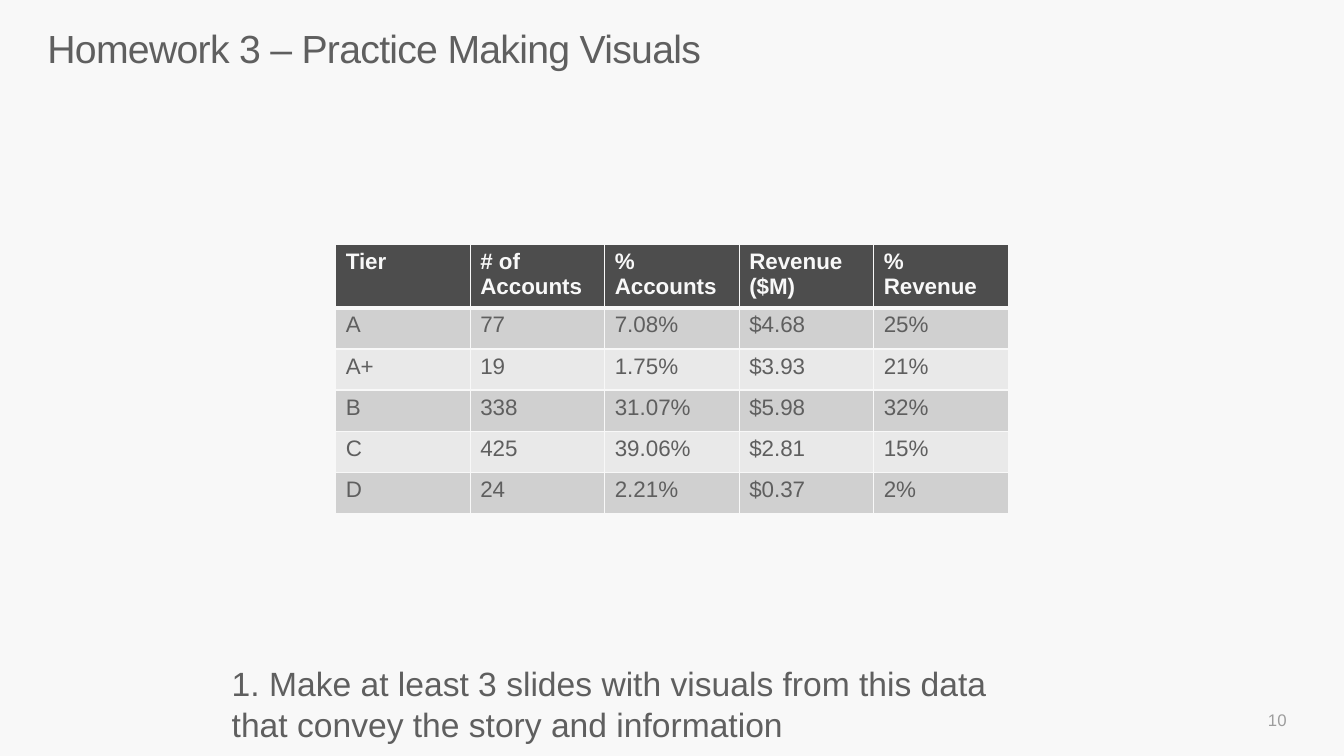
from lxml.etree import SubElement
from pptx import Presentation
from pptx.dml.color import RGBColor
from pptx.enum.text import MSO_ANCHOR, PP_ALIGN
from pptx.oxml.ns import qn
from pptx.util import Inches, Pt

PAPER = RGBColor(0xF8, 0xF8, 0xF8)
INK = RGBColor(0x5F, 0x5F, 0x5F)
PALE_INK = RGBColor(0x9D, 0x9D, 0x9D)
HEADER_FILL = RGBColor(0x4D, 0x4D, 0x4D)
BANDS = (RGBColor(0xD0, 0xD0, 0xD0), RGBColor(0xE9, 0xE9, 0xE9))

HEADER_HEIGHT = 0.62
TIERS = [
    ("Tier", "# of Accounts", "% Accounts", "Revenue ($M)", "% Revenue"),
    ("A", "77", "7.08%", "$4.68", "25%"),
    ("A+", "19", "1.75%", "$3.93", "21%"),
    ("B", "338", "31.07%", "$5.98", "32%"),
    ("C", "425", "39.06%", "$2.81", "15%"),
    ("D", "24", "2.21%", "$0.37", "2%"),
]


def add_words(paragraph, words, size, color, bold=False):
    run = paragraph.add_run()
    run.text = words
    run.font.name = "Arial"
    run.font.size = Pt(size)
    run.font.bold = bold
    run.font.color.rgb = color
    return run


def add_frame(slide, box):
    frame = slide.shapes.add_textbox(*map(Inches, box)).text_frame
    frame.word_wrap = True
    return frame


def add_title(slide, box):
    frame = add_frame(slide, box)
    frame.margin_left = frame.margin_right = 0
    frame.margin_top = frame.margin_bottom = 0
    paragraph = frame.paragraphs[0]
    paragraph.line_spacing = 0.86
    heading = add_words(paragraph, "Homework 3 – Practice Making Visuals", 28, INK)
    heading.font._element.set("spc", "-50")


def add_page_number(slide, box):
    frame = add_frame(slide, box)
    frame.vertical_anchor = MSO_ANCHOR.MIDDLE
    frame.paragraphs[0].alignment = PP_ALIGN.RIGHT
    add_words(frame.paragraphs[0], "10", 12, PALE_INK)


def add_task(slide, box):
    task = ("1. Make at least 3 slides with visuals from this data "
            "that convey the story and information")
    add_words(add_frame(slide, box).paragraphs[0], task, 24, INK)


def set_borders(cell, widths):
    properties = cell._tc.get_or_add_tcPr()
    for side, width in widths.items():
        line = SubElement(properties, qn(f"a:ln{side}"), w=str(Pt(width)))
        fill = SubElement(line, qn("a:solidFill"))
        SubElement(fill, qn("a:srgbClr"), val=str(PAPER))


def add_tier_table(slide, box):
    left, top, width, height = box
    table = slide.shapes.add_table(
        len(TIERS), len(TIERS[0]), *map(Inches, box)).table
    for column in table.columns:
        column.width = Inches(width / len(TIERS[0]))
    body_height = (height - HEADER_HEIGHT) / (len(TIERS) - 1)

    for r, values in enumerate(TIERS):
        is_header = r == 0
        table.rows[r].height = Inches(HEADER_HEIGHT if is_header else body_height)
        for c, value in enumerate(values):
            cell = table.cell(r, c)
            # The rule below the header is heavier than the others
            set_borders(cell, {"L": 1, "R": 1, "T": 3 if r == 1 else 1,
                               "B": 3 if is_header else 1})
            cell.fill.solid()
            cell.fill.fore_color.rgb = HEADER_FILL if is_header else BANDS[(r - 1) % 2]
            add_words(cell.text_frame.paragraphs[0], value, 16,
                      PAPER if is_header else INK, is_header)


def main():
    deck = Presentation()
    deck.slide_width, deck.slide_height = Inches(13.33), Inches(7.5)
    slide = deck.slides.add_slide(deck.slide_layouts[6])
    slide.background.fill.solid()
    slide.background.fill.fore_color.rgb = PAPER

    add_title(slide, (0.47, 0.31, 12.39, 0.89))
    add_page_number(slide, (9.86, 6.94, 3, 0.4))
    add_task(slide, (2.2, 6.53, 7.88, 0.91))
    add_tier_table(slide, (3.33, 2.42, 6.67, 2.66))

    deck.save("out.pptx")


if __name__ == "__main__":
    main()
